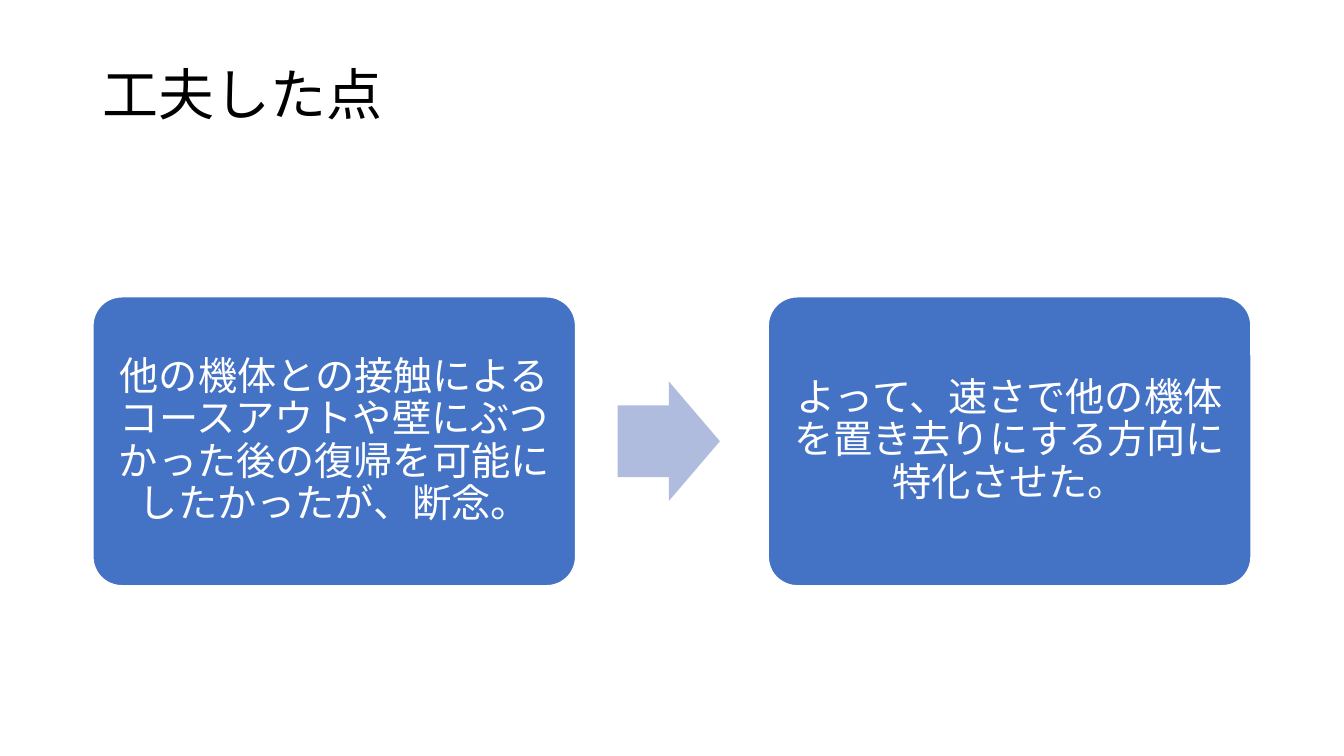
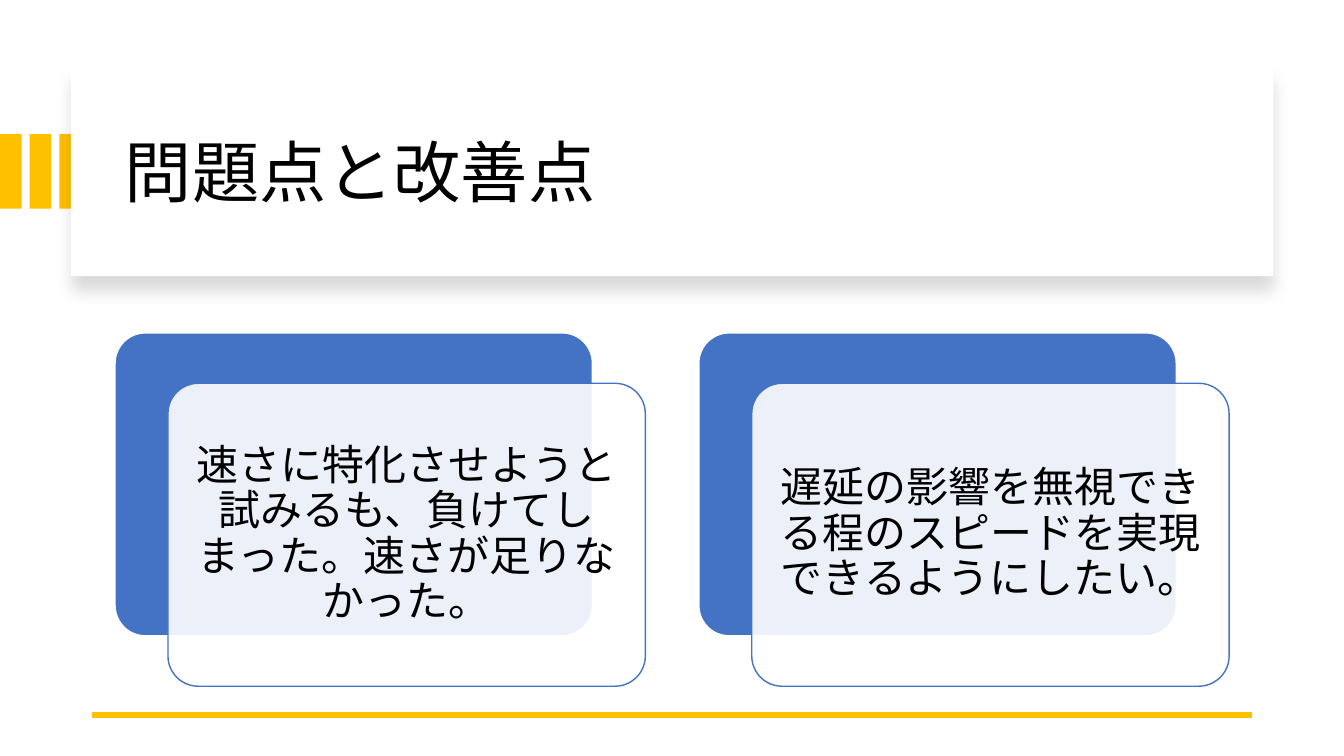
from lxml.etree import SubElement
from pptx import Presentation
from pptx.dml.color import RGBColor
from pptx.enum.shapes import MSO_CONNECTOR as Connector, MSO_SHAPE as Shape
from pptx.enum.text import MSO_ANCHOR as Anchor, MSO_AUTO_SIZE as AutoSize, PP_ALIGN as Align
from pptx.oxml.ns import qn
from pptx.util import Pt

# Content
DEVISED = {
    "title": "工夫した点",
    "cards": [
        "他の機体との接触によるコースアウトや壁にぶつかった後の復帰を可能にしたかったが、断念。",
        "よって、速さで他の機体を置き去りにする方向に特化させた。",
    ],
}
PROBLEMS = {
    "title": "問題点と改善点",
    "cards": [
        "速さに特化させようと試みるも、負けてしまった。速さが足りなかった。",
        "遅延の影響を無視できる程のスピードを実現できるようにしたい。",
    ],
}

# Shared style
FONT = "Noto Sans CJK JP"
BLUE, PALE_BLUE, GOLD = "4472C4", "B0BCDE", "FFC000"
WHITE, BLACK = "FFFFFF", "000000"
LINE_SPACING = 0.9
CARD_INSET = 8.64


def rgb(color):
    return RGBColor.from_string(color)


def style_paragraph(paragraph, size, color, align):
    paragraph.alignment = align
    paragraph.line_spacing = LINE_SPACING
    font = paragraph.font
    font.name, font.size = FONT, Pt(size)
    font.color.rgb = rgb(color)
    # East Asian typeface and Japanese line breaking
    properties = paragraph._p.pPr.find(qn("a:defRPr"))
    properties.set("lang", "ja-JP")
    east_asian = properties.makeelement(qn("a:ea"), {"typeface": FONT})
    properties.find(qn("a:latin")).addnext(east_asian)


def add_block(slide, kind, box, fill, line=None, adjustments=()):
    block = slide.shapes.add_shape(kind, *map(Pt, box))
    block.shadow.inherit = False
    block.fill.solid()
    block.fill.fore_color.rgb = rgb(fill)
    if line:
        block.line.color.rgb = rgb(line)
        block.line.width = Pt(1)
    else:
        block.line.fill.background()
    for index, value in enumerate(adjustments):
        block.adjustments[index] = value
    return block


def add_card(slide, box, fill=BLUE, line=WHITE):
    return add_block(slide, Shape.ROUNDED_RECTANGLE, box, fill, line, [0.1])


def write_card(card, text, size, color):
    frame = card.text_frame
    frame.word_wrap = True
    frame.vertical_anchor = Anchor.MIDDLE
    frame.margin_left = frame.margin_right = Pt(CARD_INSET)
    frame.margin_top = frame.margin_bottom = Pt(CARD_INSET)
    frame.text = text
    style_paragraph(frame.paragraphs[0], size, color, Align.CENTER)


def set_opacity(shape, percent):
    color = shape.fill._xPr.find(qn("a:solidFill"))[0]
    SubElement(color, qn("a:alpha"), val=str(percent * 1000))


def set_soft_shadow(shape, blur, distance, percent):
    effects = shape._element.spPr.find(qn("a:effectLst"))
    shadow = SubElement(effects, qn("a:outerShdw"), blurRad=str(Pt(blur)),
                        dist=str(Pt(distance)), dir="5400000", algn="t", rotWithShape="0")
    color = SubElement(shadow, qn("a:srgbClr"), val=BLACK)
    SubElement(color, qn("a:alpha"), val=str(percent * 1000))


def set_title(slide, text, box, size):
    title = slide.shapes.title
    title.left, title.top, title.width, title.height = map(Pt, box)
    frame = title.text_frame
    frame.text = text
    frame.word_wrap = True
    frame.auto_size = AutoSize.NONE
    frame.vertical_anchor = Anchor.MIDDLE
    style_paragraph(frame.paragraphs[0], size, BLACK, Align.LEFT)
    # Keep the title in front of the panel behind it
    slide.shapes._spTree.append(title._element)


def build_devised(slide):
    left, top, width, height, step = 66.4, 212, 344.8, 206.4, 482.4
    for index, text in enumerate(DEVISED["cards"]):
        card = add_card(slide, (left + index * step, top, width, height))
        write_card(card, text, 28, WHITE)
    # Arrow between the cards, centred on their height
    arrow_height = 85.5
    arrow_top = top + (height - arrow_height) / 2
    add_block(slide, Shape.RIGHT_ARROW, (441.2, arrow_top, 73, arrow_height),
              PALE_BLUE, adjustments=[0.6, 0.5])
    set_title(slide, DEVISED["title"], (66, 27, 828, 85), 40)


def build_problems(slide):
    # Gold bars and the title panel that overlaps them
    for index in range(3):
        add_block(slide, Shape.RECTANGLE, (index * 21.2, 95.8, 15.4, 53.2), GOLD)
    panel = add_block(slide, Shape.RECTANGLE, (50.6, 48.4, 859, 149), WHITE)
    set_soft_shadow(panel, blur=11, distance=10, percent=15)
    set_title(slide, PROBLEMS["title"], (82, 64, 801, 122.4), 48)

    # Gold rule at the foot
    rule = slide.shapes.add_connector(Connector.STRAIGHT, Pt(66), Pt(510.5), Pt(894), Pt(510.5))
    rule.line.color.rgb = rgb(GOLD)
    rule.line.width = Pt(4.5)
    SubElement(rule._element.spPr, qn("a:effectLst"))

    # Each card is a blue back with a translucent front, shifted down and right
    left, top, width, height, step = 82.2, 237.8, 341, 216.4, 417
    shift_x, shift_y = 37.8, 36
    for index, text in enumerate(PROBLEMS["cards"]):
        x = left + index * step
        add_card(slide, (x, top, width, height))
        front = add_card(slide, (x + shift_x, top + shift_y, width, height), WHITE, BLUE)
        set_opacity(front, 90)
        write_card(front, text, 30, BLACK)


def main():
    deck = Presentation()
    deck.slide_width, deck.slide_height = Pt(960), Pt(540)
    title_only = deck.slide_layouts[5]
    for build in (build_devised, build_problems):
        build(deck.slides.add_slide(title_only))
    deck.save("out.pptx")


if __name__ == "__main__":
    main()
